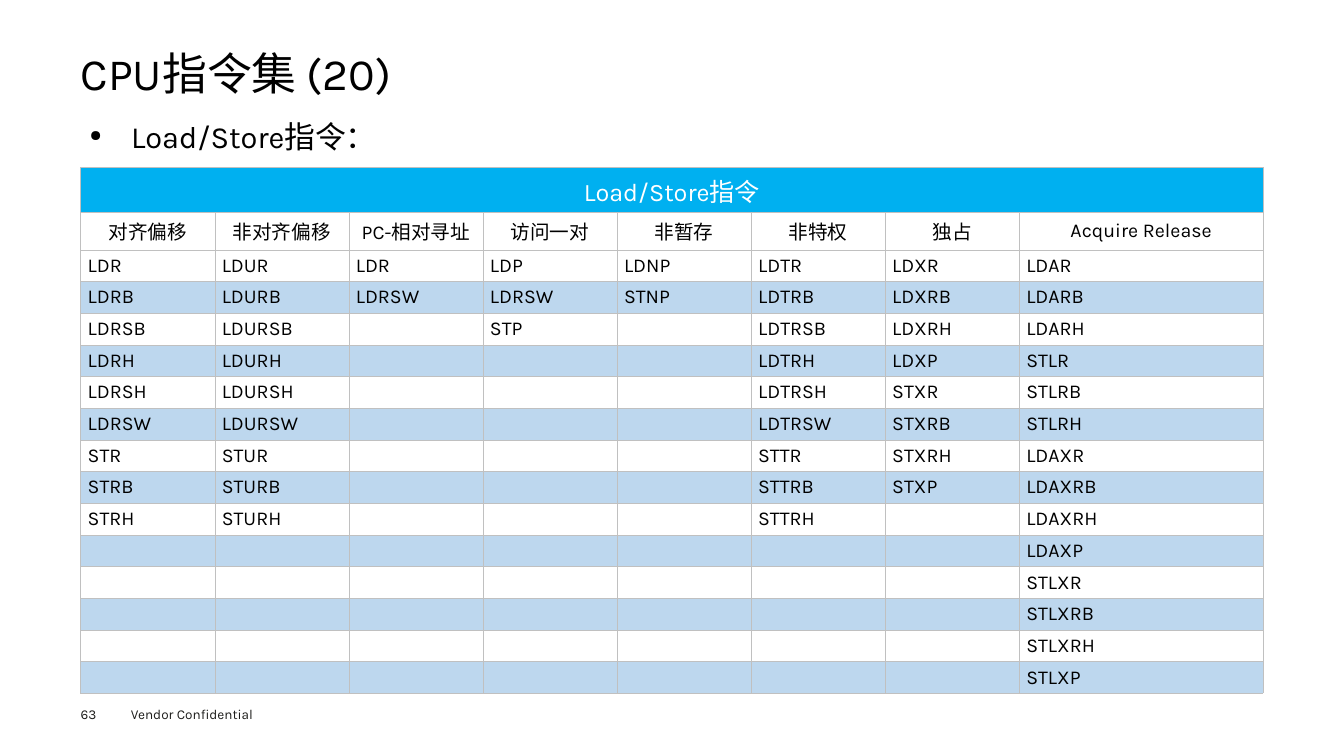
from itertools import zip_longest

from lxml.etree import SubElement
from pptx import Presentation
from pptx.dml.color import RGBColor
from pptx.enum.text import MSO_ANCHOR, PP_ALIGN
from pptx.oxml.ns import qn
from pptx.util import Inches, Pt

# Content
TITLE = "CPU指令集 (20)"
BULLET = "Load/Store指令："
TABLE_TITLE = "Load/Store指令"
PAGE_NUMBER = "63"
FOOTER = "Vendor Confidential"
INSTRUCTIONS = {
    "对齐偏移": "LDR LDRB LDRSB LDRH LDRSH LDRSW STR STRB STRH",
    "非对齐偏移": "LDUR LDURB LDURSB LDURH LDURSH LDURSW STUR STURB STURH",
    "PC-相对寻址": "LDR LDRSW",
    "访问一对": "LDP LDRSW STP",
    "非暂存": "LDNP STNP",
    "非特权": "LDTR LDTRB LDTRSB LDTRH LDTRSH LDTRSW STTR STTRB STTRH",
    "独占": "LDXR LDXRB LDXRH LDXP STXR STXRB STXRH STXP",
    "Acquire Release": "LDAR LDARB LDARH STLR STLRB STLRH LDAXR LDAXRB "
                       "LDAXRH LDAXP STLXR STLXRB STLXRH STLXP",
}

# Style
FONT = "Karla"
BLACK = RGBColor(0x00, 0x00, 0x00)
WHITE = RGBColor(0xFF, 0xFF, 0xFF)
FOOTER_INK = RGBColor(0x1D, 0x1D, 0x1B)
HEADER_BLUE = RGBColor(0x00, 0xB0, 0xF0)
BAND_BLUE = RGBColor(0xBD, 0xD7, 0xEE)
GRID_GREY = RGBColor(0xC0, 0xC0, 0xC0)

# Layout in inches
LEFT, WIDTH = 0.8, 11.73
TABLE_TOP, TABLE_HEIGHT = 1.66, 5.22
TITLE_ROW, HEADING_ROW = 0.45, 0.37
NARROW_COLUMN = 1.33


def style(para, size, color, align=PP_ALIGN.LEFT):
    para.alignment = align
    para.font.name = FONT
    para.font.size = Pt(size)
    para.font.color.rgb = color


def add_text(page, place, text, size, color, insets=(0, 0), anchor=MSO_ANCHOR.TOP):
    frame = page.shapes.add_textbox(*map(Inches, place)).text_frame
    frame.word_wrap = True
    frame.vertical_anchor = anchor
    frame.margin_left = frame.margin_right = Inches(insets[0])
    frame.margin_top = frame.margin_bottom = Inches(insets[1])
    para = frame.paragraphs[0]
    para.text = text
    style(para, size, color)
    return para


def add_bullet(para):
    properties = para._p.get_or_add_pPr()
    properties.set("marL", str(Inches(0.41)))
    properties.set("indent", str(-Inches(0.41)))
    para.line_spacing = Pt(30)
    first_after = properties.find(qn("a:defRPr"))
    for tag, name, value in (("a:buSzPct", "val", "50000"), ("a:buChar", "char", "●")):
        mark = SubElement(properties, qn(tag))
        mark.set(name, value)
        first_after.addprevious(mark)


def add_borders(cell):
    properties = cell._tc.get_or_add_tcPr()
    for side in ("a:lnL", "a:lnR", "a:lnT", "a:lnB"):
        line = SubElement(properties, qn(side), w=str(Pt(0.38)))
        fill = SubElement(line, qn("a:solidFill"))
        SubElement(fill, qn("a:srgbClr"), val=str(GRID_GREY))


def fill_cell(cell, text, size, color, align, background):
    add_borders(cell)
    if background is None:
        cell.fill.background()
    else:
        cell.fill.solid()
        cell.fill.fore_color.rgb = background
    cell.vertical_anchor = MSO_ANCHOR.MIDDLE
    cell.margin_left = cell.margin_right = Inches(0.07)
    cell.margin_top = cell.margin_bottom = Inches(0.04)
    para = cell.text_frame.paragraphs[0]
    para.text = text
    style(para, size, color, align)
    if not text:
        # An empty cell keeps the row height of its neighbours
        SubElement(para._p, qn("a:endParaRPr"), sz=str(size * 100))


def add_instruction_table(page):
    columns = [names.split() for names in INSTRUCTIONS.values()]
    rows = [[TABLE_TITLE] + [""] * (len(columns) - 1), list(INSTRUCTIONS)]
    rows += zip_longest(*columns, fillvalue="")

    frame = page.shapes.add_table(len(rows), len(columns), Inches(LEFT),
                                  Inches(TABLE_TOP), Inches(WIDTH), Inches(TABLE_HEIGHT))
    table = frame.table
    table.first_row = table.horz_banding = False

    last_column = WIDTH - NARROW_COLUMN * (len(columns) - 1)
    for column in table.columns:
        column.width = Inches(NARROW_COLUMN)
    table.columns[len(columns) - 1].width = Inches(last_column)

    body_row = (TABLE_HEIGHT - TITLE_ROW - HEADING_ROW) / (len(rows) - 2)
    for index, texts in enumerate(rows):
        height, size, color, align = body_row, 14, BLACK, PP_ALIGN.LEFT
        background = BAND_BLUE if index % 2 else None
        if index == 0:
            height, size, color, align = TITLE_ROW, 18, WHITE, PP_ALIGN.CENTER
            background = HEADER_BLUE
        elif index == 1:
            height, align, background = HEADING_ROW, PP_ALIGN.CENTER, None
        table.rows[index].height = Inches(height)
        for position, text in enumerate(texts):
            fill_cell(table.cell(index, position), text, size, color, align, background)
    table.cell(0, 0).merge(table.cell(0, len(columns) - 1))


def main():
    deck = Presentation()
    deck.slide_width, deck.slide_height = Inches(13.33), Inches(7.5)
    page = deck.slides.add_slide(deck.slide_layouts[6])

    # Footer
    add_text(page, (1.2, 6.95, 1.6, 0.27), FOOTER, 9.7, FOOTER_INK, (0.1, 0.05))
    add_text(page, (LEFT, 7, 0.55, 0.16), PAGE_NUMBER, 9.7, FOOTER_INK)

    # Title and bullet line
    title = add_text(page, (LEFT, 0.49, WIDTH, 0.53), TITLE, 32, BLACK,
                     anchor=MSO_ANCHOR.MIDDLE)
    title.line_spacing = 0.9
    bullet = add_text(page, (LEFT, 1.08, WIDTH, 5.34), BULLET, 22, BLACK, (0.09, 0.04))
    add_bullet(bullet)

    add_instruction_table(page)
    deck.save("out.pptx")


if __name__ == "__main__":
    main()
